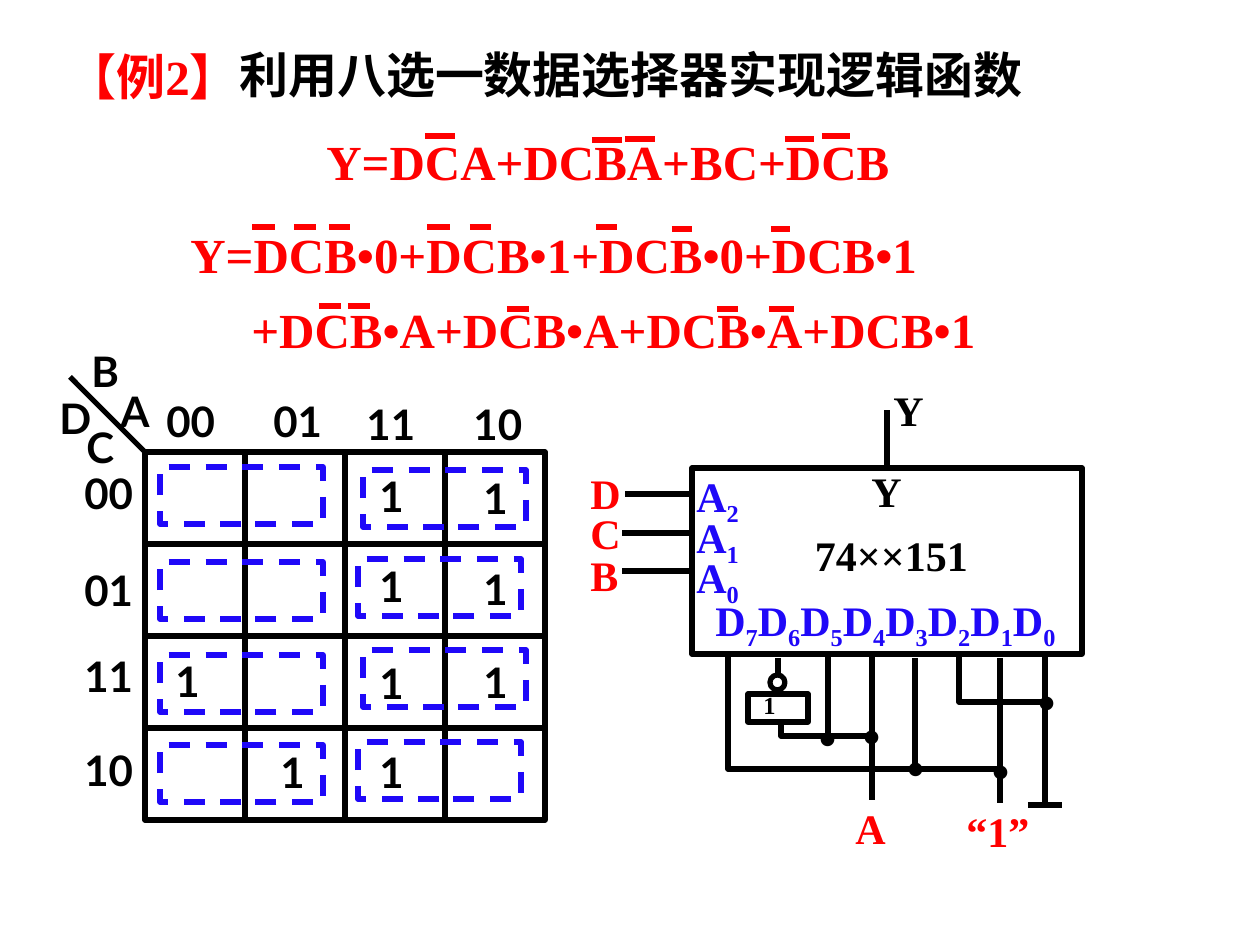
"""Build a slide that realises a logic function with an eight-way data selector."""
from lxml.etree import SubElement
from pptx import Presentation
from pptx.dml.color import RGBColor
from pptx.enum.dml import MSO_LINE
from pptx.enum.shapes import MSO_CONNECTOR as Link, MSO_SHAPE as Preset
from pptx.enum.text import MSO_ANCHOR as Anchor, MSO_AUTO_SIZE as Fit, PP_ALIGN as Align
from pptx.oxml.ns import qn
from pptx.util import Pt

PX = 914400 / 126
RED, BLUE, BLACK, WHITE = "FF0000", "1F08F8", "000000", "FFFFFF"
SERIF, SANS = "Times New Roman", "Lato"

TITLE = "【例2】"
TITLE_BOX = (55, 39, 223, 73)
FORMULAS = [
    ((227, 38, 820, 160), [
        ("利用八选一数据选择器实现逻辑函数", BLACK, 0, 1),
        ("Y=DCA+DCBA+BC+DCB", RED, 87, 1)]),
    ((178, 218, 897, 149), [
        ("Y=DCB•0+DCB•1+DCB•0+DCB•1", RED, 0, 1),
        ("+DCB•A+DCB•A+DCB•A+DCB•1", RED, 61, 0.8)]),
]
NEGATION_BARS = {
    136: [(425, 455), (822, 850)],
    139: [(625, 655), (785, 814)],
    140: [(592, 622)],
    227: [(252, 275), (294, 316), (329, 350), (427, 450), (470, 491), (596, 617)],
    229: [(672, 692), (771, 790)],
    306: [(319, 341), (348, 370)],
    309: [(507, 529), (717, 738), (769, 794)],
}

MAP_LEFT, MAP_TOP, CELL_WIDTH, CELL_HEIGHT, MAP_SIZE = 145, 452, 100, 92, 4
AXIS_DIVIDER = (144, 451, 70, 377)
MAP_LABELS = [
    ("B", 79, 339), ("A", 108, 379), ("D", 47, 386), ("C", 74, 415),
    ("00", 154, 389), ("01", 261, 389), ("11", 354, 392), ("10", 461, 392),
    ("00", 72, 461), ("01", 72, 558), ("11", 72, 644), ("10", 72, 738),
    ("1", 367, 464), ("1", 471, 466), ("1", 367, 554), ("1", 471, 557),
    ("1", 163, 649), ("1", 367, 651), ("1", 471, 650),
    ("1", 268, 740), ("1", 367, 740),
]
LOOP_SIZE = (163, 57)
LOOPS = [(160, 467), (363, 470), (160, 562), (358, 559),
         (160, 655), (363, 650), (160, 745), (358, 742)]

CHIP = (692, 468, 390, 186)
CHIP_NAME, CHIP_NAME_BOX = "74××151", (770, 523, 265, 63)
OUTPUT_WIRE_TOP = 410
INVERTER, INVERTER_BUBBLE = (748, 694, 60, 28), (770, 675, 15, 15)
PINS = [
    ("D7D6D5D4D3D2D1D0", (703, 588, 381, 63), 1),
    ("A1A0", (684, 515, 77, 86), 0.7),
    ("A2", (684, 464, 77, 63), 1),
]
SIGNALS = [
    ("Y", (859, 459, 77, 63), BLACK, 24, 1),
    ("Y", (881, 378, 77, 63), BLACK, 24, 1),
    ("DC", (578, 471, 72, 95), RED, 24, 0.8),
    ("B", (578, 543, 72, 63), RED, 24, 1),
    ("“1”", (954, 799, 98, 63), RED, 24, 1),
    ("A", (843, 796, 98, 63), RED, 24, 1),
    ("1", (751, 684, 35, 42), BLACK, 14, 1),
]
WIRES = [
    (692, 494, 625, 494), (689, 533, 622, 533), (689, 571, 622, 571),
    (1045, 653, 1045, 805), (1028, 805, 1062, 805), (1000, 658, 1000, 803),
    (872, 655, 872, 800), (778, 658, 778, 677), (828, 655, 828, 736),
]
BENT_WIRES = [
    [(959, 655), (959, 702), (1045, 702)],
    [(915, 658), (915, 769), (1000, 769)],
    [(781, 723), (781, 736), (870, 736)],
    [(916, 769), (728, 769), (728, 655)],
]
JUNCTIONS = [(805, 655), (849, 653), (893, 685), (978, 688), (1024, 619)]


def emu(pixels):
    return round(pixels * PX)


def color(value):
    return RGBColor.from_string(value)


def stroke(line, value):
    line.color.rgb = color(value)
    line.width = Pt(3)


def add_span(para, text, value, size=24, font=SERIF):
    span = para.add_run()
    span.text = text
    span.font.name, span.font.size, span.font.bold = font, Pt(size), True
    span.font.color.rgb = color(value)
    return span


def add_box(slide, place):
    box = slide.shapes.add_textbox(*map(emu, place))
    box.text_frame.word_wrap = True
    return box.text_frame


def add_text(slide, text, place, value, size=24, font=SERIF, spacing=1):
    para = add_box(slide, place).paragraphs[0]
    para.line_spacing = spacing
    add_span(para, text, value, size, font)


def add_outline(slide, preset, place, value=BLACK):
    shape = slide.shapes.add_shape(preset, *map(emu, place))
    shape.shadow.inherit = False
    shape.fill.background()
    stroke(shape.line, value)
    return shape


def add_line(slide, ends, value=BLACK):
    line = slide.shapes.add_connector(Link.STRAIGHT, *map(emu, ends))
    stroke(line.line, value)
    SubElement(line._element.spPr, qn("a:effectLst"))
    return line


def add_bent_wire(slide, points):
    builder = slide.shapes.build_freeform(*points[0], scale=PX)
    builder.add_line_segments(points[1:], close=False)
    wire = builder.convert_to_shape()
    wire.shadow.inherit = False
    wire.fill.background()
    stroke(wire.line, BLACK)


def add_formulas(slide):
    title = slide.shapes.title
    title.left, title.top, title.width, title.height = map(emu, TITLE_BOX)
    frame = title.text_frame
    frame.auto_size, frame.vertical_anchor = Fit.NONE, Anchor.MIDDLE
    frame.paragraphs[0].alignment = Align.LEFT
    add_span(frame.paragraphs[0], TITLE, RED, 28)
    for place, lines in FORMULAS:
        frame = add_box(slide, place)
        for index, (text, value, indent, spacing) in enumerate(lines):
            para = frame.add_paragraph() if index else frame.paragraphs[0]
            para.space_before = Pt(16 if index else 0)
            para.line_spacing = spacing
            para._p.get_or_add_pPr().set("marL", str(emu(indent)))
            add_span(para, text, value, 28)
    for height, bars in NEGATION_BARS.items():
        for start, end in bars:
            add_line(slide, (start, height, end, height), RED)


def add_karnaugh_map(slide):
    for row in range(MAP_SIZE):
        for column in range(MAP_SIZE):
            place = (MAP_LEFT + column * CELL_WIDTH, MAP_TOP + row * CELL_HEIGHT,
                     CELL_WIDTH, CELL_HEIGHT)
            add_outline(slide, Preset.RECTANGLE, place)
    add_line(slide, AXIS_DIVIDER)
    for text, left, top in MAP_LABELS:
        add_text(slide, text, (left, top, 79, 63), BLACK, font=SANS)
    for corner in LOOPS:
        loop = add_outline(slide, Preset.RECTANGLE, corner + LOOP_SIZE, BLUE)
        loop.line.dash_style = MSO_LINE.DASH


def add_selector(slide):
    chip = add_outline(slide, Preset.RECTANGLE, CHIP)
    middle = CHIP[0] + CHIP[2] // 2
    output = add_line(slide, (middle, CHIP[1], middle, OUTPUT_WIRE_TOP))
    output.begin_connect(chip, 0)
    name = add_outline(slide, Preset.RECTANGLE, CHIP_NAME_BOX, WHITE).text_frame
    name.vertical_anchor, name.margin_left = Anchor.TOP, emu(45)
    name.paragraphs[0].alignment = Align.LEFT
    add_span(name.paragraphs[0], CHIP_NAME, BLACK)
    for text, place, spacing in PINS:
        para = add_box(slide, place).paragraphs[0]
        para.line_spacing = spacing
        for letter in text:
            span = add_span(para, letter, BLUE)
            if letter.isdigit():
                span.font._element.set("baseline", "-25000")
    for ends in WIRES:
        add_line(slide, ends)
    for points in BENT_WIRES:
        add_bent_wire(slide, points)
    add_outline(slide, Preset.RECTANGLE, INVERTER)
    add_outline(slide, Preset.OVAL, INVERTER_BUBBLE)
    for text, place, value, size, spacing in SIGNALS:
        add_text(slide, text, place, value, size, spacing=spacing)
    for corner in JUNCTIONS:
        add_text(slide, ".", corner + (74, 113), BLACK, 48)


def main():
    deck = Presentation()
    deck.slide_width, deck.slide_height = emu(1260), emu(945)
    slide = deck.slides.add_slide(deck.slide_layouts[5])
    add_formulas(slide)
    add_karnaugh_map(slide)
    add_selector(slide)
    deck.save("out.pptx")


if __name__ == "__main__":
    main()
